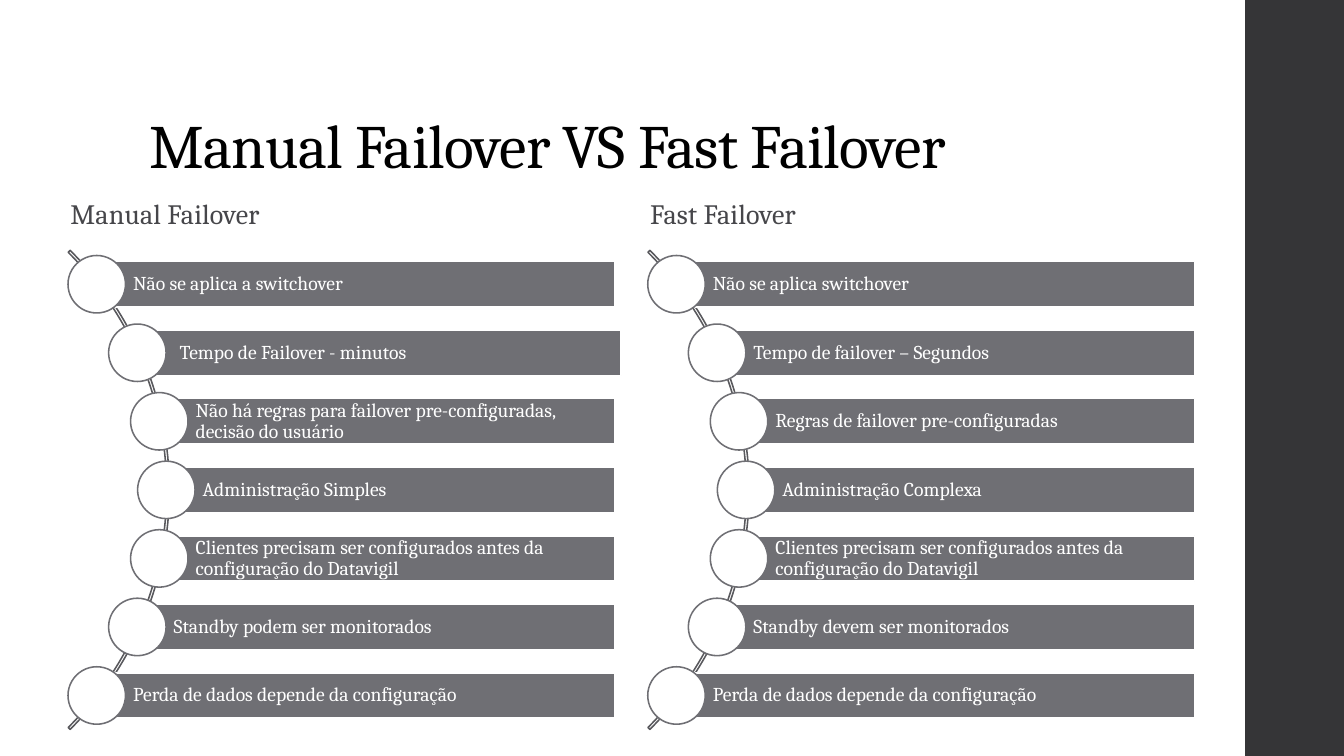
from dataclasses import dataclass
from math import sqrt

from pptx import Presentation
from pptx.dml.color import RGBColor
from pptx.enum import shapes, text
from pptx.util import Inches, Pt

FONT = "Cambria"
GRAY = "6F6F74"
WHITE = "FFFFFF"
ARC_RADIUS = 3.36
ARC_MIDDLE = 4.86
ROW_PITCH = 0.68
CIRCLE_SIZE = 0.57
BAR_HEIGHT = 0.45
CIRCLE_INSET = 0.03  # circles sit slightly inside the arc


@dataclass
class Step:
    label: str
    shift: float = 0


@dataclass
class Comparison:
    heading: str
    heading_left: float
    heading_width: float
    arc_center: float
    bar_right: float
    steps: list[Step]


CLIENTS = Step("Clientes precisam ser configurados antes da configuração do Datavigil")
DATA_LOSS = Step("Perda de dados depende da configuração")

COMPARISONS = [
    Comparison("Manual Failover", 0.6, 5.68, -1.68, 6.1, [
        Step("Não se aplica a switchover"),
        Step("Tempo de Failover - minutos", shift=0.06),
        Step("Não há regras para failover pre-configuradas, decisão do usuário"),
        Step("Administração Simples"),
        CLIENTS,
        Step("Standby podem ser monitorados"),
        DATA_LOSS,
    ]),
    Comparison("Fast Failover", 6.35, 5.57, 4.07, 11.85, [
        Step("Não se aplica switchover"),
        Step("Tempo de failover – Segundos"),
        Step("Regras de failover pre-configuradas"),
        Step("Administração Complexa"),
        CLIENTS,
        Step("Standby devem ser monitorados"),
        DATA_LOSS,
    ]),
]


def color(value: str) -> RGBColor:
    return RGBColor.from_string(value)


def write(shape, content: str, *, size: float, fill: str, line_spacing: float,
          anchor=text.MSO_ANCHOR.BOTTOM, tracking: float = 0,
          space_after: float = 0, insets=(0.1, 0.05, 0.1, 0.05)) -> None:
    frame = shape.text_frame
    frame.word_wrap = True
    frame.auto_size = text.MSO_AUTO_SIZE.NONE
    frame.vertical_anchor = anchor
    (frame.margin_left, frame.margin_top,
     frame.margin_right, frame.margin_bottom) = map(Inches, insets)
    paragraph = frame.paragraphs[0]
    paragraph.alignment = text.PP_ALIGN.LEFT
    paragraph.line_spacing = line_spacing
    paragraph.space_before = Pt(0)
    paragraph.space_after = Pt(space_after)
    run = paragraph.add_run()
    run.text = content
    run.font.name = FONT
    run.font.size = Pt(size)
    run.font.color.rgb = color(fill)
    if tracking:
        run._r.get_or_add_rPr().set("spc", str(round(tracking * 100)))


def add_shape(parent, kind, left: float, top: float, width: float, height: float,
              fill: str | None = None, line: str | None = None):
    shape = parent.add_shape(kind, *map(Inches, (left, top, width, height)))
    shape.shadow.inherit = False
    if fill:
        shape.fill.solid()
        shape.fill.fore_color.rgb = color(fill)
    else:
        shape.fill.background()
    if line:
        shape.line.color.rgb = color(line)
        shape.line.width = Pt(1.1)
    else:
        shape.line.fill.background()
    return shape


def add_comparison(slide, comparison: Comparison) -> None:
    heading = slide.shapes.add_textbox(
        Inches(comparison.heading_left), Inches(1.87),
        Inches(comparison.heading_width), Inches(0.47))
    write(heading, comparison.heading, size=20, fill="46464A",
          line_spacing=0.95, space_after=2, tracking=0.1)

    group = slide.shapes.add_group_shape().shapes
    arc = add_shape(group, shapes.MSO_SHAPE.BLOCK_ARC,
                    comparison.arc_center - ARC_RADIUS, ARC_MIDDLE - ARC_RADIUS,
                    2 * ARC_RADIUS, 2 * ARC_RADIUS, line="59595D")
    for index, value in enumerate((189, 27, 0.004)):
        arc.adjustments[index] = value

    for row, step in enumerate(comparison.steps):
        offset = (row - len(comparison.steps) // 2) * ROW_PITCH
        x = comparison.arc_center + sqrt(ARC_RADIUS**2 - offset**2) - CIRCLE_INSET
        y = ARC_MIDDLE + offset
        bar = add_shape(group, shapes.MSO_SHAPE.RECTANGLE,
                        x + step.shift, y - BAR_HEIGHT / 2,
                        comparison.bar_right - x, BAR_HEIGHT, GRAY, WHITE)
        write(bar, step.label, size=14, fill=WHITE, line_spacing=0.9,
              anchor=text.MSO_ANCHOR.MIDDLE, insets=(0.36, 0.04, 0.04, 0.04))
        add_shape(group, shapes.MSO_SHAPE.OVAL,
                  x - CIRCLE_SIZE / 2, y - CIRCLE_SIZE / 2,
                  CIRCLE_SIZE, CIRCLE_SIZE, WHITE, GRAY)


def main() -> None:
    presentation = Presentation()
    presentation.slide_width = Inches(13.33)
    presentation.slide_height = Inches(7.5)
    slide = presentation.slides.add_slide(presentation.slide_layouts[5])
    add_shape(slide.shapes, shapes.MSO_SHAPE.RECTANGLE, 12.35, 0, 0.98, 7.5, "353537")

    title = slide.shapes.title
    title.left, title.top = Inches(1.38), Inches(0.4)
    title.width, title.height = Inches(10.6), Inches(1.45)
    write(title, "Manual Failover VS Fast Failover", size=44, fill="000000",
          line_spacing=0.9, tracking=-0.5)

    for comparison in COMPARISONS:
        add_comparison(slide, comparison)
    presentation.save("out.pptx")


if __name__ == "__main__":
    main()
